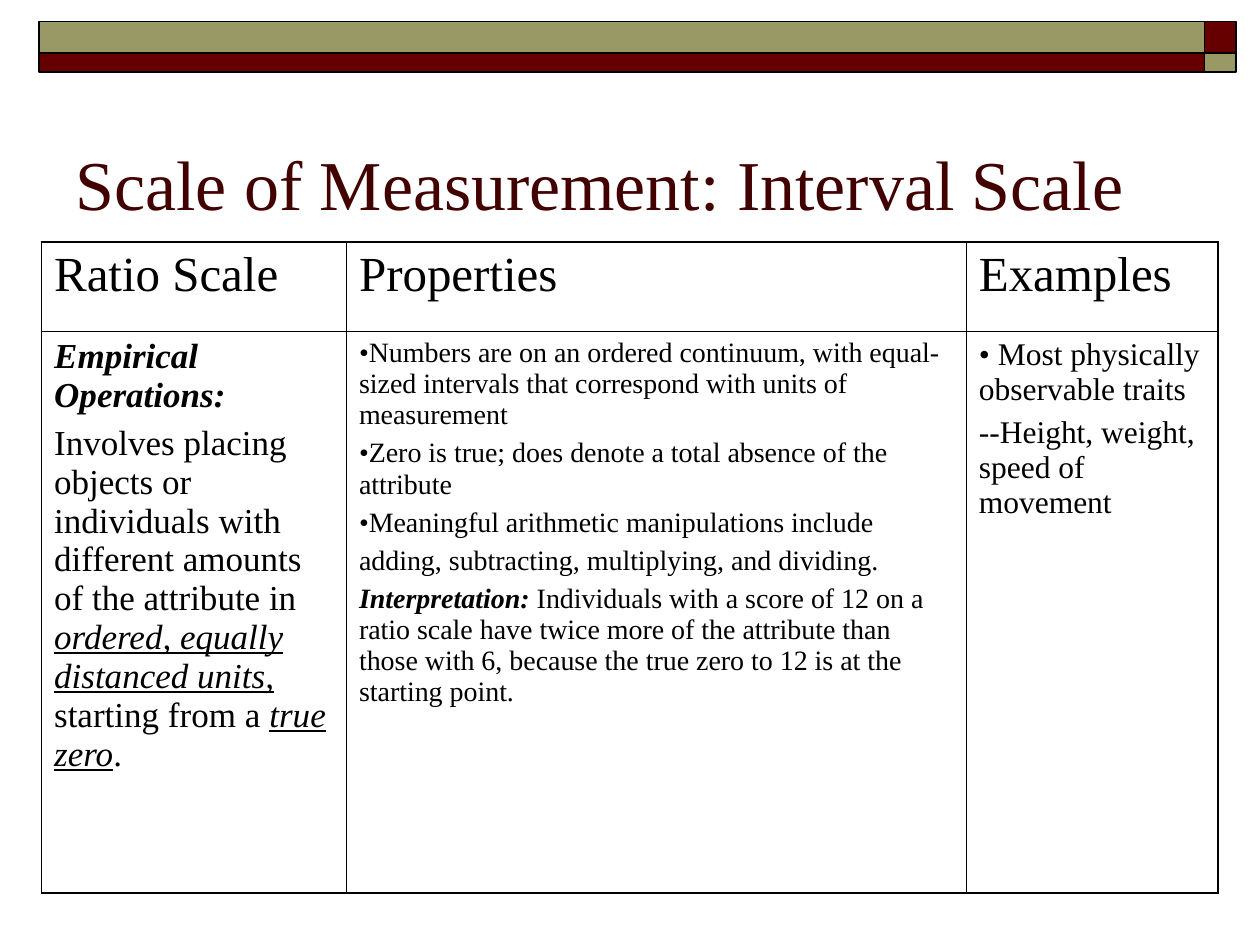
from dataclasses import dataclass

from lxml.etree import SubElement
from pptx import Presentation
from pptx.dml.color import RGBColor
from pptx.enum.shapes import MSO_CONNECTOR, MSO_SHAPE
from pptx.enum.text import MSO_ANCHOR
from pptx.oxml.ns import qn
from pptx.util import Inches, Pt

FONT = "Times New Roman"
BLACK = RGBColor(0x00, 0x00, 0x00)
MAROON = RGBColor(0x66, 0x00, 0x00)
OLIVE = RGBColor(0x99, 0x99, 0x66)
TITLE_COLOR = RGBColor(0x42, 0x00, 0x00)
OUTER, INNER = 1.08, 0.45


@dataclass(frozen=True)
class Span:
    text: str
    bold: bool = False
    italic: bool = False
    underline: bool = False


@dataclass(frozen=True)
class CellText:
    size: float
    gap: float
    paragraphs: list[list[Span]]


@dataclass(frozen=True)
class Block:
    left: float
    top: float
    width: float
    height: float
    color: RGBColor


BLOCKS = [
    Block(9.56, 0.17, 0.25, 0.25, MAROON),
    Block(0.31, 0.17, 9.25, 0.25, OLIVE),
    Block(0.31, 0.42, 9.25, 0.15, MAROON),
    Block(9.56, 0.42, 0.25, 0.15, OLIVE),
]

COL_WIDTHS = [2.42, 4.92, 2]
ROW_HEIGHTS = [0.71, 4.46]

OPERATIONS = CellText(20, 5, [
    [Span("Empirical Operations:", bold=True, italic=True)],
    [
        Span("Involves placing objects or individuals with different "
             "amounts of the attribute in "),
        Span("ordered, equally distanced units,", italic=True, underline=True),
        Span(" starting from a "),
        Span("true zero", italic=True, underline=True),
        Span("."),
    ],
])
PROPERTIES = CellText(16, 4, [
    [Span("•Numbers are on an ordered continuum, with equal-sized intervals "
          "that correspond with units of measurement")],
    [Span("•Zero is true; does denote a total absence of the attribute")],
    [Span("•Meaningful arithmetic manipulations include")],
    [Span("adding, subtracting, multiplying, and dividing.")],
    [
        Span("Interpretation:", bold=True, italic=True),
        Span(" Individuals with a score of 12 on a ratio scale have twice more "
             "of the attribute than those with 6, because the true zero to 12 "
             "is at the starting point."),
    ],
])
EXAMPLES = CellText(18, 4.5, [
    [Span("• Most physically observable traits")],
    [Span("--Height, weight, speed of movement")],
])
HEADERS = [CellText(28, 7, [[Span(name)]])
           for name in ("Ratio Scale", "Properties", "Examples")]
ROWS = [HEADERS, [OPERATIONS, PROPERTIES, EXAMPLES]]


def write_text(tf, content: CellText, color: RGBColor) -> None:
    for i, spans in enumerate(content.paragraphs):
        p = tf.add_paragraph() if i else tf.paragraphs[0]
        if i:
            p.space_before = Pt(content.gap)
        for span in spans:
            r = p.add_run()
            r.text = span.text
            r.font.name = FONT
            r.font.size = Pt(content.size)
            r.font.bold = span.bold
            r.font.italic = span.italic
            r.font.underline = span.underline
            r.font.color.rgb = color


def add_block(s, block: Block) -> None:
    sp = s.shapes.add_shape(
        MSO_SHAPE.RECTANGLE, Inches(block.left), Inches(block.top),
        Inches(block.width), Inches(block.height))
    sp.shadow.inherit = False
    sp.fill.solid()
    sp.fill.fore_color.rgb = block.color
    sp.line.color.rgb = BLACK
    sp.line.width = Pt(1)


def add_rule(s) -> None:
    line = s.shapes.add_connector(
        MSO_CONNECTOR.STRAIGHT, Inches(9.58), Inches(1.92),
        Inches(0.5), Inches(1.92))
    line.line.color.rgb = BLACK
    line.line.width = Pt(1)
    SubElement(line._element.spPr, qn("a:effectLst"))


def add_title(s) -> None:
    tf = s.shapes.add_textbox(
        Inches(0.5), Inches(0.58), Inches(9), Inches(1.25)).text_frame
    tf.word_wrap = True
    tf.vertical_anchor = MSO_ANCHOR.BOTTOM
    title = Span("Scale of Measurement: Interval Scale")
    write_text(tf, CellText(40, 0, [[title]]), TITLE_COLOR)


def set_borders(cell, row: int, col: int) -> None:
    on_edge = {
        "a:lnL": col == 0,
        "a:lnR": col == len(COL_WIDTHS) - 1,
        "a:lnT": row == 0,
        "a:lnB": row == len(ROW_HEIGHTS) - 1,
    }
    tc_pr = cell._tc.get_or_add_tcPr()
    for tag, outer in on_edge.items():
        width = Pt(OUTER if outer else INNER)
        ln = SubElement(tc_pr, qn(tag), w=str(width))
        fill = SubElement(ln, qn("a:solidFill"))
        SubElement(fill, qn("a:srgbClr"), val=str(BLACK))


def add_scale_table(s) -> None:
    table = s.shapes.add_table(
        len(ROW_HEIGHTS), len(COL_WIDTHS), Inches(0.33), Inches(1.92),
        Inches(sum(COL_WIDTHS)), Inches(sum(ROW_HEIGHTS))).table
    table.first_row = False
    table.horz_banding = False
    for column, width in zip(table.columns, COL_WIDTHS):
        column.width = Inches(width)
    for row, height in zip(table.rows, ROW_HEIGHTS):
        row.height = Inches(height)
    for i, contents in enumerate(ROWS):
        for j, content in enumerate(contents):
            cell = table.cell(i, j)
            set_borders(cell, i, j)
            cell.fill.background()
            write_text(cell.text_frame, content, BLACK)


def main() -> None:
    prs = Presentation()
    prs.slide_width = Inches(10)
    prs.slide_height = Inches(7.5)
    s = prs.slides.add_slide(prs.slide_layouts[6])
    add_rule(s)
    for block in BLOCKS:
        add_block(s, block)
    add_title(s)
    add_scale_table(s)
    prs.save("out.pptx")


if __name__ == "__main__":
    main()
